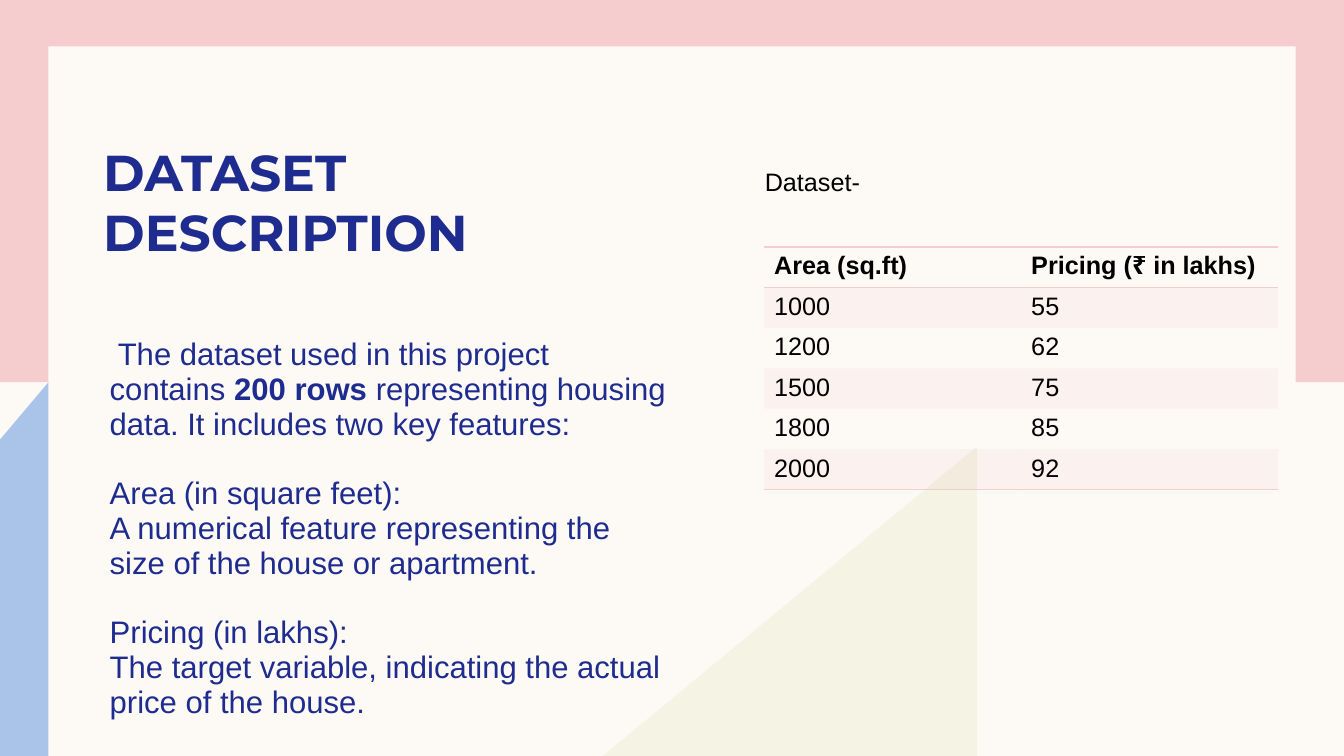
import pptx
import pptx.util
import pptx.dml.color
import pptx.enum.shapes
import pptx.enum.text
import pptx.oxml
import pptx.oxml.ns

Pt = pptx.util.Pt
RGBColor = pptx.dml.color.RGBColor
ANCHOR = pptx.enum.text.MSO_ANCHOR

CREAM = RGBColor(0xFD, 0xFA, 0xF6)
PINK = RGBColor(0xF5, 0xCD, 0xCE)
BLUE = RGBColor(0xAA, 0xC3, 0xE8)
OLIVE = RGBColor(0xED, 0xEE, 0xD3)
NAVY = RGBColor(0x1F, 0x2C, 0x8F)
BLACK = RGBColor(0, 0, 0)

SLIDE_WIDTH, SLIDE_HEIGHT = 960, 540
PLAIN_TABLE_STYLE = "{2D5ABB26-0587-4C30-8999-92F81FD0307C}"
BODY_FORMAT = {"name": "Arial", "size": Pt(22.2)}
TABLE_FORMAT = {"name": "Arial", "size": Pt(18)}

# Each paragraph: space before in points, then (text, bold) runs
DESCRIPTION = [
    (0, [(" The dataset used in this project contains ", False),
         ("200 rows", True),
         (" representing housing data. It includes two key features:", False)]),
    (24, [("Area (in square feet):", False)]),
    (0, [("A numerical feature representing the size of the house or apartment.", False)]),
    (24, [("Pricing (in lakhs):", False)]),
    (0, [("The target variable, indicating the actual price of the house.", False)]),
]
DATASET = [
    ("Area (sq.ft)", "Pricing (₹ in lakhs)"),
    ("1000", "55"),
    ("1200", "62"),
    ("1500", "75"),
    ("1800", "85"),
    ("2000", "92"),
]


def set_font(font, color, values):
    for name, value in values.items():
        setattr(font, name, value)
    font.color.rgb = color


def set_frame(frame, values):
    for name, value in values.items():
        setattr(frame, name, value)


def set_opacity(fill_parent, percent):
    color = fill_parent.find(".//" + pptx.oxml.ns.qn("a:srgbClr"))
    color.append(pptx.oxml.parse_xml(
        f'<a:alpha {pptx.oxml.ns.nsdecls("a")} val="{percent * 1000}"/>'))


def paint(shape, color):
    shape.fill.solid()
    shape.fill.fore_color.rgb = color
    shape.line.fill.background()
    shape.shadow.inherit = False
    return shape


def add_rectangle(slide, box, color):
    return paint(slide.shapes.add_shape(
        pptx.enum.shapes.MSO_SHAPE.RECTANGLE, *map(Pt, box)), color)


def add_polygon(slide, points, color):
    corners = [(Pt(x), Pt(y)) for x, y in points]
    builder = slide.shapes.build_freeform(*corners[0])
    builder.add_line_segments(corners[1:], close=True)
    return paint(builder.convert_to_shape(), color)


def add_backdrop(slide, left, top, width, height):
    """Pink band, cream panel and the two corner shapes at the bottom."""
    right, bottom = left + width, top + height
    margin, band_bottom = 34.6, top + 273
    slide.background.fill.solid()
    slide.background.fill.fore_color.rgb = CREAM
    add_rectangle(slide, (left, top, width, band_bottom - top), PINK)
    add_rectangle(slide, (left + margin, top + 33.1,
                          right - left - 2 * margin, 474.5), CREAM)
    triangle = add_polygon(slide, [(left + 430.6, bottom), (left + 697.7, top + 319),
                                   (left + 697.7, bottom)], OLIVE)
    set_opacity(triangle.fill._xPr, 50)
    add_polygon(slide, [(left + margin, band_bottom), (left + margin, bottom),
                        (left, bottom), (left, top + 314)], BLUE)


def add_title(slide, left, top, width, height):
    title = slide.shapes.title
    title.left, title.top, title.width, title.height = map(Pt, (left, top, width, height))
    set_frame(title.text_frame, {
        "text": "DATASET DESCRIPTION", "word_wrap": True,
        "auto_size": pptx.enum.text.MSO_AUTO_SIZE.NONE,
        "vertical_anchor": ANCHOR.BOTTOM, "margin_top": 0, "margin_bottom": 0})
    paragraph = title.text_frame.paragraphs[0]
    paragraph.alignment = pptx.enum.text.PP_ALIGN.LEFT
    set_font(paragraph.runs[0].font, NAVY,
             {"name": "Montserrat", "size": Pt(36), "bold": True})


def add_description(slide, left, top, width, height):
    frame = slide.shapes.add_textbox(*map(Pt, (left, top, width, height))).text_frame
    set_frame(frame, {"word_wrap": True, "margin_top": 0, "margin_bottom": 0})
    for index, (gap, pieces) in enumerate(DESCRIPTION):
        paragraph = frame.add_paragraph() if index else frame.paragraphs[0]
        paragraph.line_spacing = 0.94
        paragraph.space_before = Pt(gap)
        for text, bold in pieces:
            run = paragraph.add_run()
            run.text = text
            set_font(run.font, NAVY, BODY_FORMAT | {"bold": bold})


def set_cell_borders(cell, sides):
    """Draw a 1 pt pink rule on each given side, in the order lnT, lnB."""
    for index, side in enumerate(sides):
        cell._tc.get_or_add_tcPr().insert(index, pptx.oxml.parse_xml(
            f'<a:{side} {pptx.oxml.ns.nsdecls("a")} w="12700"><a:solidFill>'
            f'<a:srgbClr val="{PINK}"/></a:solidFill></a:{side}>'))


def fill_cell(cell, row, text):
    cell.text = text
    set_font(cell.text_frame.paragraphs[0].runs[0].font, BLACK,
             TABLE_FORMAT | {"bold": row == 0})
    if row % 2:
        cell.fill.solid()
        cell.fill.fore_color.rgb = PINK
        set_opacity(cell._tc.tcPr, 20)
    else:
        cell.fill.background()
    if row == 0:
        set_cell_borders(cell, ["lnT", "lnB"])
    elif row == len(DATASET) - 1:
        set_cell_borders(cell, ["lnB"])


def add_dataset(slide, left, top, width, height):
    """Caption above the table; the table takes the rest of the box."""
    caption = slide.shapes.add_textbox(Pt(left - 6.6), Pt(top), Pt(98), Pt(29))
    caption.text_frame.text = "Dataset-"
    caption.text_frame.word_wrap = True
    set_font(caption.text_frame.paragraphs[0].runs[0].font, BLACK, TABLE_FORMAT)

    table_offset = 61.2
    table = slide.shapes.add_table(
        len(DATASET), len(DATASET[0]), Pt(left), Pt(top + table_offset),
        Pt(width), Pt(height - table_offset)).table
    table.first_row = table.horz_banding = False
    table._tbl.tblPr.find(pptx.oxml.ns.qn("a:tableStyleId")).text = PLAIN_TABLE_STYLE
    for row, values in enumerate(DATASET):
        for column, text in enumerate(values):
            fill_cell(table.cell(row, column), row, text)


def main():
    presentation = pptx.Presentation()
    presentation.slide_width = Pt(SLIDE_WIDTH)
    presentation.slide_height = Pt(SLIDE_HEIGHT)
    slide = presentation.slides.add_slide(presentation.slide_layouts[5])
    add_backdrop(slide, 0, 0, SLIDE_WIDTH, SLIDE_HEIGHT)
    add_title(slide, 66.5, 33.1, 414, 154)
    # The title placeholder comes first in the tree; bring it above the backdrop
    slide.shapes._spTree.append(slide.shapes.title._element)
    add_description(slide, 71.3, 241.2, 414, 265.7)
    add_dataset(slide, 545.8, 115.2, 367.2, 234.6)
    presentation.save("out.pptx")


if __name__ == "__main__":
    main()
